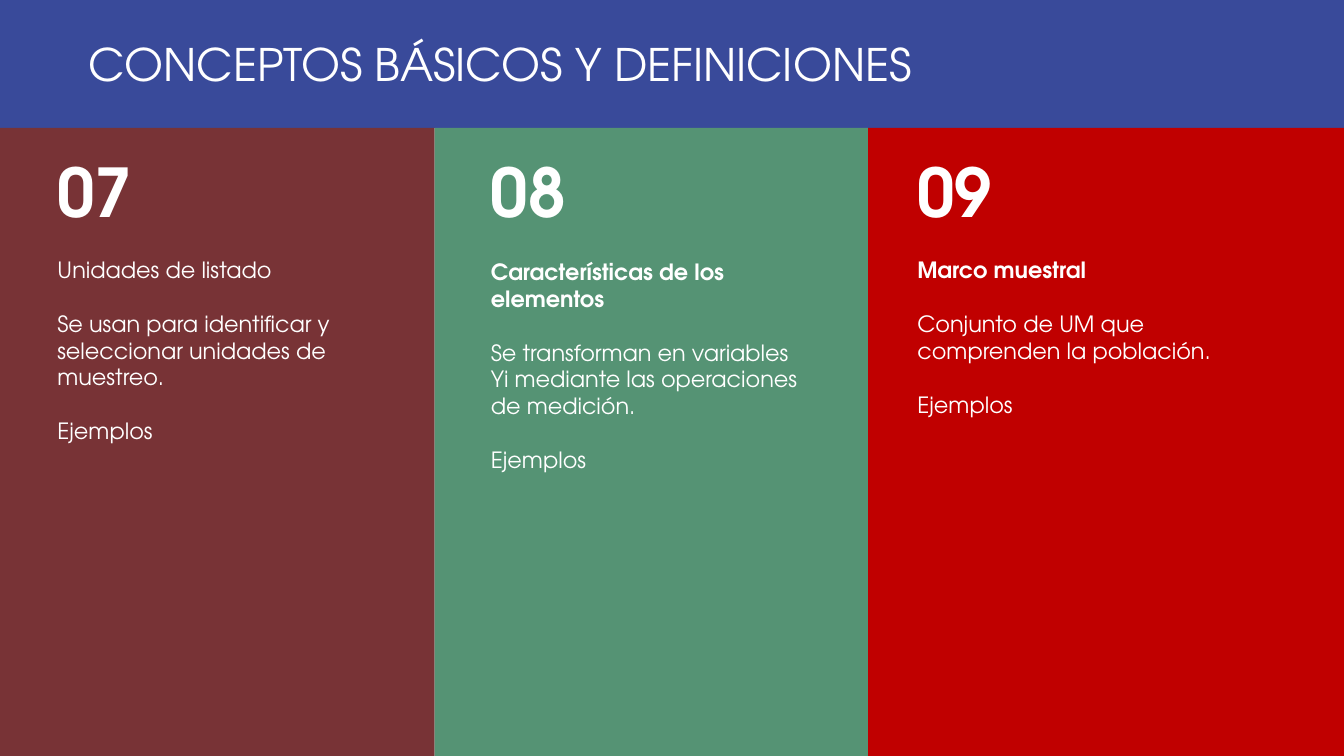
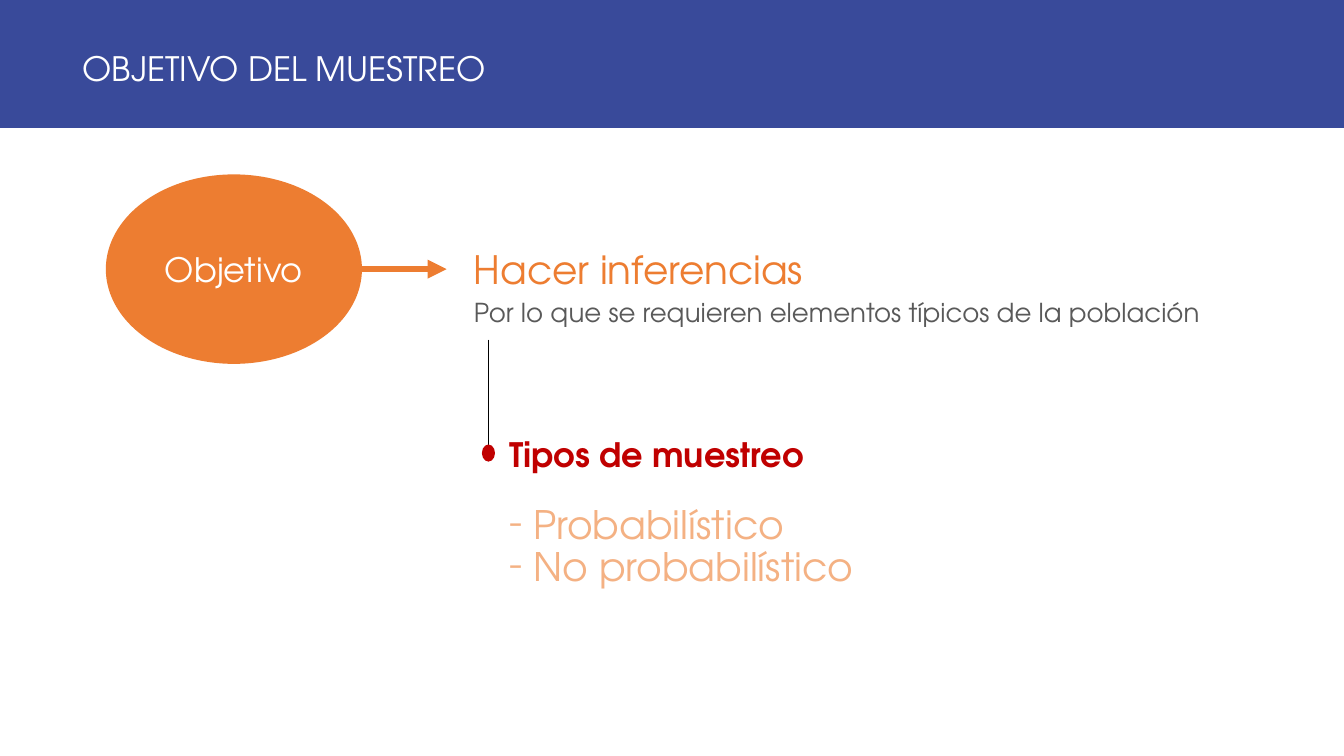
"""Builds two slides on basic sampling concepts."""
from lxml import etree
from pptx import Presentation
from pptx import util as u
from pptx.dml.color import RGBColor
from pptx.enum import shapes, text
from pptx.oxml.ns import qn

FONT = "TeX Gyre Adventor"
WHITE, BLACK, GREY = "FFFFFF", "000000", "595959"
BLUE, BROWN, GREEN, RED = "394A9A", "783336", "559374", "C00000"
ORANGE, PEACH = "ED7D31", "F4B183"
SLIDE_WIDTH, SLIDE_HEIGHT, BAND_HEIGHT = 13.33, 7.5, 1.27
TITLE_ONLY, TWO_CONTENT = 5, 3

CONCEPTS = [
    dict(number="07", term="Unidades de listado", bold=False, color=BROWN,
         left=0, right=4.31, text_left=0.47, text_top=2.49, text_width=3.01,
         definition="Se usan para identificar y seleccionar unidades de muestreo."),
    dict(number="08", term="Características de los elementos", bold=True, color=GREEN,
         left=4.31, right=8.61, text_left=4.77, text_top=2.51, text_width=3.38,
         definition="Se transforman en variables Yi mediante las operaciones de medición."),
    dict(number="09", term="Marco muestral", bold=True, color=RED,
         left=8.61, right=SLIDE_WIDTH, text_left=9, text_top=2.49, text_width=3.38,
         definition="Conjunto de UM que comprenden la población."),
]


def paint(fill, color):
    """Makes a fill solid in a hex colour."""
    fill.solid()
    fill.fore_color.rgb = RGBColor.from_string(color)


def place(shape, left, top, width, height):
    """Sets the position and size of a shape in inches."""
    shape.left, shape.top = u.Inches(left), u.Inches(top)
    shape.width, shape.height = u.Inches(width), u.Inches(height)


def write(frame, content, size=16, color=WHITE, bold=False, before=0, spacing=1.0,
          align=text.PP_ALIGN.LEFT, bullet=None, indent=0):
    """Adds a formatted paragraph to a text frame."""
    paragraph = frame.paragraphs[0] if not frame.text else frame.add_paragraph()
    properties = paragraph._p.get_or_add_pPr()
    properties.set("marL", str(u.Inches(indent)))
    properties.set("indent", str(-u.Inches(indent)))
    if bullet:
        etree.SubElement(properties, qn("a:buFont"), typeface=FONT)
        etree.SubElement(properties, qn("a:buChar"), char=bullet)
    else:
        etree.SubElement(properties, qn("a:buNone"))
    paragraph.alignment = align
    paragraph.space_before = u.Pt(before)
    paragraph.line_spacing = spacing
    run = paragraph.add_run()
    run.text = content
    run.font.name, run.font.size, run.font.bold = FONT, u.Pt(size), bold
    run.font.color.rgb = RGBColor.from_string(color)


def add_title(slide, content, size, indent, top_margin=0.05):
    """Turns the title placeholder into the blue header band."""
    title = slide.shapes.title
    place(title, 0, 0, SLIDE_WIDTH, BAND_HEIGHT)
    paint(title.fill, BLUE)
    frame = title.text_frame
    frame.auto_size = text.MSO_AUTO_SIZE.NONE
    frame.vertical_anchor = text.MSO_ANCHOR.MIDDLE
    frame.margin_left, frame.margin_top = u.Inches(indent), u.Inches(top_margin)
    write(frame, content, size=size)


def add_figure(slide, kind, color, left, top, width, height):
    """Adds a flat preset shape without outline."""
    figure = slide.shapes.add_shape(kind, 0, 0, 0, 0)
    place(figure, left, top, width, height)
    figure.shadow.inherit = False
    paint(figure.fill, color)
    figure.line.fill.background()
    return figure


def add_text_box(slide, left, top, width, height):
    """Adds a wrapping text box and returns its frame."""
    box = slide.shapes.add_textbox(0, 0, 0, 0)
    place(box, left, top, width, height)
    box.text_frame.word_wrap = True
    return box.text_frame


def use_body(slide, index, left, top, width, height):
    """Moves a body placeholder and returns its frame."""
    body = slide.placeholders[index]
    place(body, left, top, width, height)
    frame = body.text_frame
    frame.auto_size = text.MSO_AUTO_SIZE.NONE
    frame.vertical_anchor = text.MSO_ANCHOR.TOP
    return frame


def add_line(slide, start, end, color, width, arrow=False):
    """Adds a straight line, with an arrowhead at its end if asked."""
    ends = [u.Inches(value) for value in (*start, *end)]
    line = slide.shapes.add_connector(shapes.MSO_CONNECTOR.STRAIGHT, *ends)
    paint(line.line.fill, color)
    line.line.width = u.Pt(width)
    if arrow:
        etree.SubElement(line.line._get_or_add_ln(), qn("a:tailEnd"), type="triangle")
    etree.SubElement(line._element.spPr, qn("a:effectLst"))


def add_concept(slide, concept):
    """Adds a coloured column with a number, a term and its definition."""
    left = concept["left"]
    add_figure(slide, shapes.MSO_SHAPE.RECTANGLE, concept["color"], left, BAND_HEIGHT,
               concept["right"] - left, SLIDE_HEIGHT - BAND_HEIGHT)
    number = add_text_box(slide, concept["text_left"], 1.44, 1.2, 0.91)
    write(number, concept["number"], size=48, bold=True)
    body = add_text_box(slide, concept["text_left"], concept["text_top"],
                        concept["text_width"], 2.29)
    write(body, concept["term"], bold=concept["bold"])
    for content in (concept["definition"], "Ejemplos"):
        write(body, content, before=19.3)


def build_concepts(deck):
    """Builds the slide with three numbered definitions."""
    slide = deck.slides.add_slide(deck.slide_layouts[TITLE_ONLY])
    add_title(slide, "CONCEPTOS BÁSICOS Y DEFINICIONES", size=32, indent=0.88)
    for concept in CONCEPTS:
        add_concept(slide, concept)


def build_objective(deck):
    """Builds the slide on the aim and the types of sampling."""
    slide = deck.slides.add_slide(deck.slide_layouts[TWO_CONTENT])
    add_title(slide, "OBJETIVO DEL MUESTREO", size=24, indent=0.82, top_margin=0.14)

    add_line(slide, (3.59, 2.67), (4.43, 2.67), ORANGE, 4.5, arrow=True)
    objective = add_figure(slide, shapes.MSO_SHAPE.OVAL, ORANGE, 1.05, 1.73, 2.54, 1.88)
    write(objective.text_frame, "Objetivo", size=24, align=text.PP_ALIGN.CENTER)

    inference = use_body(slide, 1, 4.6, 2.51, 7.82, 0.86)
    write(inference, "Hacer inferencias", size=27.9, color=ORANGE, spacing=0.7)
    write(inference, "Por lo que se requieren elementos típicos de la población",
          size=18.6, color=GREY, spacing=0.7, before=10)

    add_line(slide, (4.84, 3.37), (4.84, 4.5), BLACK, 0.5)
    add_figure(slide, shapes.MSO_SHAPE.OVAL, RED, 4.78, 4.41, 0.13, 0.17)

    sampling = use_body(slide, 2, 4.95, 4.3, 4.95, 1.75)
    write(sampling, "Tipos de muestreo", size=24, color=RED, bold=True, spacing=0.9)
    for kind, before in (("Probabilístico", 22), ("No probabilístico", 0)):
        write(sampling, kind, size=28, color=PEACH, spacing=0.9, before=before,
              bullet="-", indent=0.24)


def main():
    """Builds and saves the presentation."""
    deck = Presentation()
    deck.slide_width, deck.slide_height = u.Inches(SLIDE_WIDTH), u.Inches(SLIDE_HEIGHT)
    build_concepts(deck)
    build_objective(deck)
    deck.save("out.pptx")


if __name__ == "__main__":
    main()
